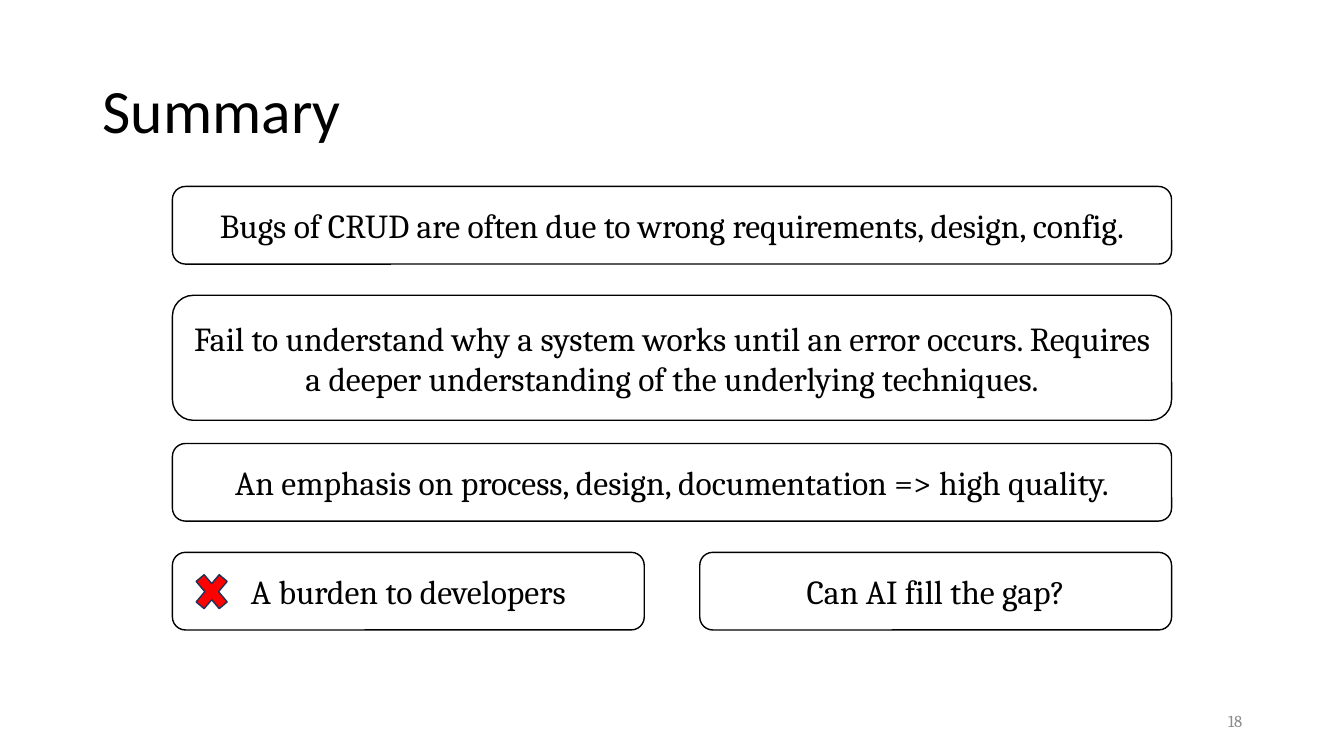
from pptx import Presentation
from pptx.dml.color import RGBColor
from pptx.enum.shapes import MSO_SHAPE
from pptx.enum.text import MSO_ANCHOR, PP_ALIGN
from pptx.util import Inches, Pt

COLORS = {"black": "000000", "white": "FFFFFF", "gray": "8C8C8C",
          "red": "FF0000", "navy": "1E3256"}


def add_text(sp, text, size, font, color, align):
    tf = sp.text_frame
    tf.word_wrap = True
    tf.vertical_anchor = MSO_ANCHOR.MIDDLE
    p = tf.paragraphs[0]
    p.alignment = align
    r = p.add_run()
    r.text = text
    for name, value in {"size": Pt(size), "name": font}.items():
        setattr(r.font, name, value)
    r.font.color.rgb = RGBColor.from_string(COLORS[color])
    return p


def add_outlined(shapes, kind, box, fill, line):
    sp = shapes.add_shape(kind, *map(Inches, box))
    sp.shadow.inherit = False
    sp.fill.solid()
    sp.fill.fore_color.rgb = RGBColor.from_string(COLORS[fill])
    sp.line.color.rgb = RGBColor.from_string(COLORS[line])
    sp.line.width = Pt(1)
    return sp


prs = Presentation()
prs.slide_width, prs.slide_height = Inches(13.33), Inches(7.5)
s = prs.slides.add_slide(prs.slide_layouts[6])

# Title and slide number
title = s.shapes.add_textbox(*map(Inches, (0.92, 0.4, 11.5, 1.45)))
p = add_text(title, "Summary", 44, "Calibri", "black", PP_ALIGN.LEFT)
p.line_spacing = 0.9
number = s.shapes.add_textbox(*map(Inches, (9.42, 6.95, 3, 0.4)))
add_text(number, "18", 12, "Cambria", "gray", PP_ALIGN.RIGHT)

# Statement boxes: full-width rows, then two halves
left, full, half = 1.71, 9.91, 4.68
right = left + full - half
low, tall = 0.77, 1.24
statements = [
    (left, 1.85, full, low,
     "Bugs of CRUD are often due to wrong requirements, design, config."),
    (left, 2.93, full, tall,
     "Fail to understand why a system works until an error occurs. "
     "Requires a deeper understanding of the underlying techniques."),
    (left, 4.4, full, low,
     "An emphasis on process, design, documentation => high quality."),
    (left, 5.48, half, low, "A burden to developers"),
    (right, 5.48, half, low, "Can AI fill the gap?"),
]
for *box, text in statements:
    sp = add_outlined(s.shapes, MSO_SHAPE.ROUNDED_RECTANGLE, box, "white", "black")
    add_text(sp, text, 24, "Cambria", "black", PP_ALIGN.CENTER)

# Red cross on the burden box
add_outlined(s.shapes, MSO_SHAPE.MATH_MULTIPLY, (1.88, 5.61, 0.44, 0.52), "red", "navy")

prs.save("out.pptx")
